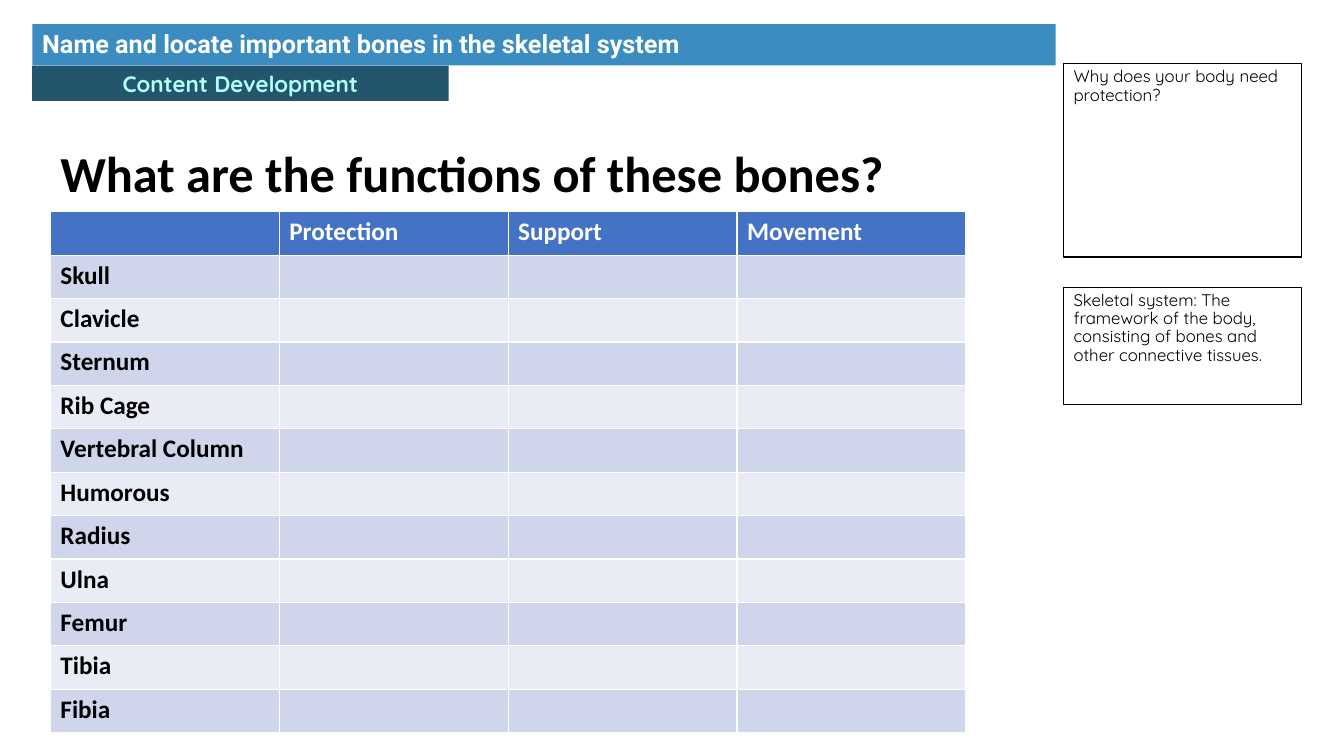
"""Build the slide on the functions of bones."""
from pptx import Presentation
from pptx.dml.color import RGBColor
from pptx.enum.shapes import MSO_SHAPE
from pptx.enum.text import MSO_ANCHOR, PP_ALIGN
from pptx.util import Inches, Pt

BANNERS = [
    ("Content Development", (0.32, 0.65, 4.13, 0.35), "23566C", "B3FFFF", "Quicksand", 16, PP_ALIGN.CENTER, 1),
    ("Name and locate important bones in the skeletal system", (0.32, 0.24, 10.15, 0.41),
     "3B8CC1", "FFFFFF", "Roboto", 18, PP_ALIGN.LEFT, 0.9),
]
SIDE_NOTES = [
    ("Why does your body need protection?", (10.55, 0.63, 2.36, 1.92)),
    ("Skeletal system: The framework of the body, consisting of bones and other connective tissues.",
     (10.55, 2.85, 2.36, 1.16)),
]
QUESTION = ("What are the functions of these bones?", (0.5, 1.43, 9, 1.25))
FUNCTIONS = ["Protection", "Support", "Movement"]
BONES = ["Skull", "Clavicle", "Sternum", "Rib Cage", "Vertebral Column", "Humorous",
         "Radius", "Ulna", "Femur", "Tibia", "Fibia"]
TABLE_BOX = (0.5, 2.1, 9.08, 5.17)
HEADER_FILL = "4472C4"
BAND_FILLS = ["CFD5EA", "E9EBF5"]


def color(value):
    return RGBColor.from_string(value)


def paint(target, value):
    target.fill.solid()
    target.fill.fore_color.rgb = color(value)


def write(frame, text, font, size, value, bold=False, align=PP_ALIGN.LEFT, spacing=1):
    frame.word_wrap = True
    paragraph = frame.paragraphs[0]
    paragraph.text = text
    paragraph.alignment = align
    paragraph.line_spacing = spacing
    paragraph.font.name = font
    paragraph.font.size = Pt(size)
    paragraph.font.bold = bold
    paragraph.font.color.rgb = color(value)


def add_box(slide, box):
    shape = slide.shapes.add_shape(MSO_SHAPE.RECTANGLE, *map(Inches, box))
    shape.shadow.inherit = False
    return shape


def add_banner(slide, text, box, fill, ink, font, size, align, spacing):
    banner = add_box(slide, box)
    paint(banner, fill)
    banner.line.fill.background()
    banner.text_frame.vertical_anchor = MSO_ANCHOR.MIDDLE
    write(banner.text_frame, text, font, size, ink, True, align, spacing)


def add_side_note(slide, text, box):
    note = add_box(slide, box)
    note.fill.background()
    note.line.color.rgb = color("000000")
    note.line.width = Pt(0.75)
    note.text_frame.vertical_anchor = MSO_ANCHOR.TOP
    write(note.text_frame, text, "Quicksand", 12, "000000", spacing=0.9)


def add_bone_table(slide):
    rows = [["", *FUNCTIONS]] + [[bone] + [""] * len(FUNCTIONS) for bone in BONES]
    table = slide.shapes.add_table(len(rows), len(rows[0]), *map(Inches, TABLE_BOX)).table
    for r, row in enumerate(rows):
        fill = BAND_FILLS[(r - 1) % 2] if r else HEADER_FILL
        for c, text in enumerate(row):
            cell = table.cell(r, c)
            paint(cell, fill)
            if text:
                write(cell.text_frame, text, "Calibri", 18, "000000" if r else "FFFFFF", True)


def main():
    deck = Presentation()
    deck.slide_width, deck.slide_height = Inches(13.33), Inches(7.5)
    slide = deck.slides.add_slide(deck.slide_layouts[6])
    for banner in BANNERS:
        add_banner(slide, *banner)
    for note in SIDE_NOTES:
        add_side_note(slide, *note)
    text, box = QUESTION
    question = slide.shapes.add_textbox(*map(Inches, box))
    write(question.text_frame, text, "Calibri", 36, "000000", True, spacing=0.9)
    add_bone_table(slide)
    deck.save("out.pptx")


if __name__ == "__main__":
    main()
